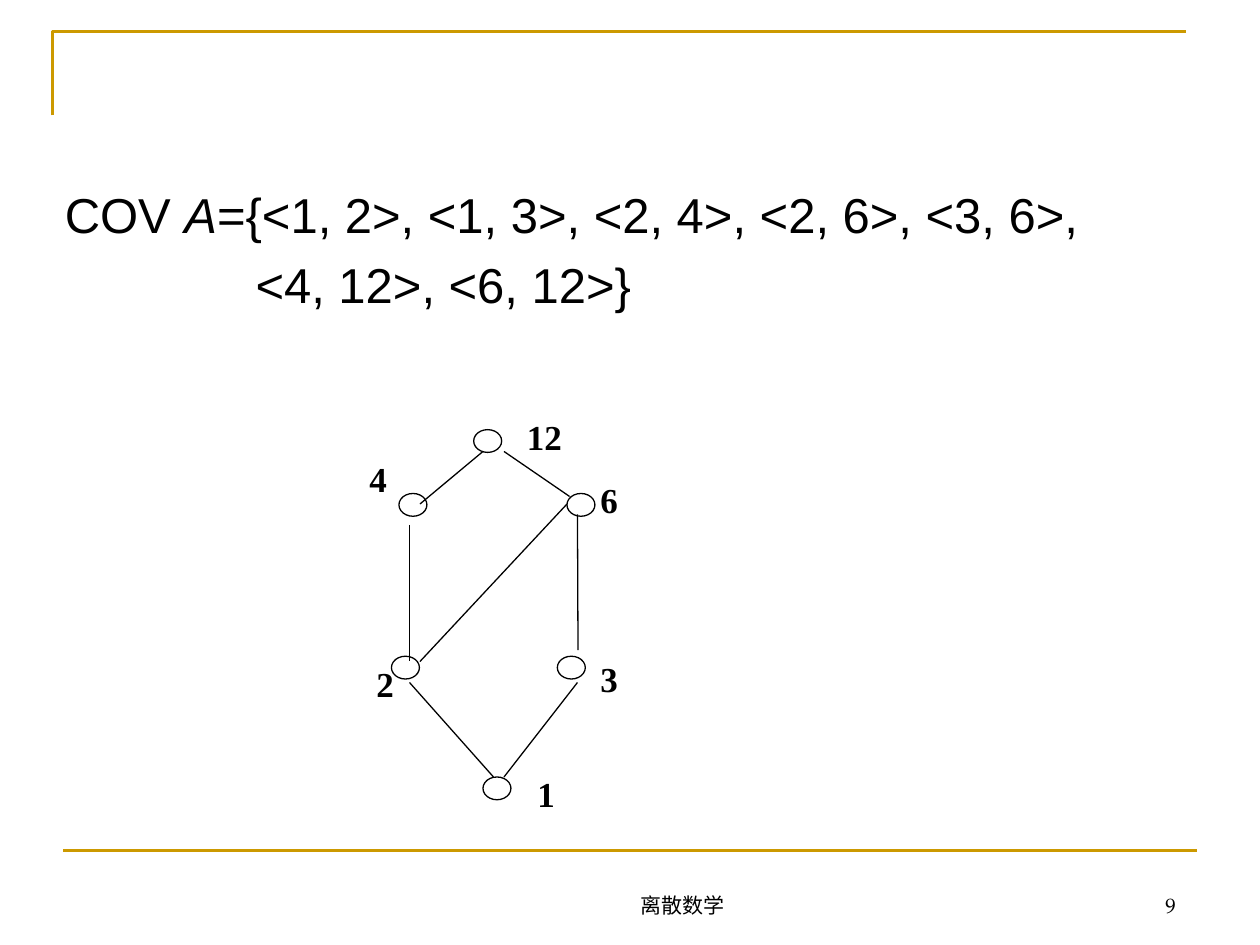
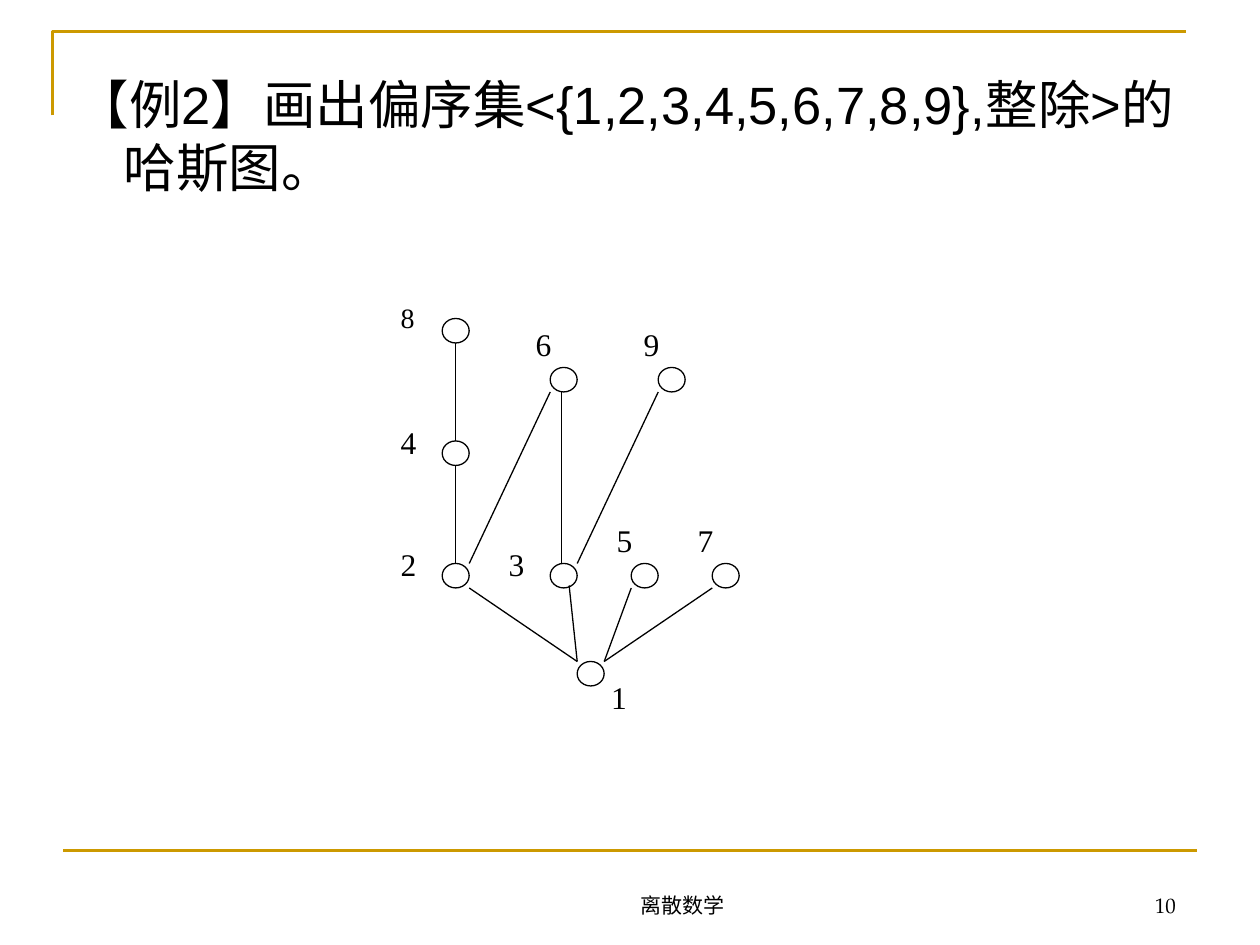
from pptx import Presentation
from pptx import util as u
from pptx.dml.color import RGBColor
from pptx.enum import shapes, text
from pptx.oxml.ns import qn
from lxml import etree

INK, GOLD, WHITE = "000000", "CC9900", "FFFFFF"
SANS, SERIF, FOOT = "Arial", "Times New Roman", "TeX Gyre Pagella"
LEFT, MID = text.PP_ALIGN.LEFT, text.PP_ALIGN.CENTER
RIGHT, JUST = text.PP_ALIGN.RIGHT, text.PP_ALIGN.JUSTIFY
TOP, LOW = text.MSO_ANCHOR.TOP, text.MSO_ANCHOR.BOTTOM


def tint(hue):
    return RGBColor.from_string(hue)


def edge(shape, hue, size):
    shape.line.color.rgb = tint(hue)
    shape.line.width = u.Pt(size)


def link(slide, start, end, hue=INK, size=0.75):
    ends = [u.Pt(n) for n in (*start, *end)]
    line = slide.shapes.add_connector(shapes.MSO_CONNECTOR.STRAIGHT, *ends)
    edge(line, hue, size)
    etree.SubElement(line._element.spPr, qn("a:effectLst"))


def node(slide, spot, size):
    dot = slide.shapes.add_shape(
        shapes.MSO_SHAPE.OVAL, *[u.Pt(n) for n in (*spot, *size)])
    dot.shadow.inherit = False
    dot.fill.solid()
    dot.fill.fore_color.rgb = tint(WHITE)
    edge(dot, INK, 0.75)


def box(slide, area, anchor=TOP):
    frame = slide.shapes.add_textbox(*[u.Pt(n) for n in area]).text_frame
    frame.word_wrap = True
    frame.vertical_anchor = anchor
    return frame


def write(par, runs, size, font, align=LEFT, bold=False):
    par.alignment = align
    for words, slant in runs:
        run = par.add_run()
        run.text = words
        run.font.size = u.Pt(size)
        run.font.name = font
        run.font.bold = bold
        run.font.italic = slant
        run.font.color.rgb = tint(INK)


def space(par, left, first, above):
    par.space_before = u.Pt(above)
    props = par._p.get_or_add_pPr()
    props.set("marL", str(u.Pt(left)))
    props.set("indent", str(u.Pt(first)))


def label(slide, words, spot, size, bold=False):
    frame = box(slide, (*spot, 48, 40))
    write(frame.paragraphs[0], [(words, False)], size, SERIF, JUST, bold)


def page(deck, count):
    slide = deck.slides.add_slide(deck.slide_layouts[6])
    pen = slide.shapes.build_freeform(u.Pt(30), u.Pt(66))
    pen.add_line_segments(
        [(u.Pt(30), u.Pt(18)), (u.Pt(678), u.Pt(18))], close=False)
    frame = pen.convert_to_shape()
    frame.shadow.inherit = False
    frame.fill.background()
    edge(frame, GOLD, 1.5)
    link(slide, (36, 486), (684, 486), GOLD, 1.5)
    for words, left, width, align in (
            ("离散数学", 276, 228, MID), (str(count), 600, 79, RIGHT)):
        foot = box(slide, (left, 492, width, 36), LOW)
        write(foot.paragraphs[0], [(words, False)], 12, FOOT, align)
    return slide


def cover(deck):
    slide = page(deck, 9)
    body = box(slide, (30, 102, 612, 354))
    head = body.paragraphs[0]
    write(head, [("COV ", False), ("A", True),
                 ("={<1, 2>, <1, 3>, <2, 4>, <2, 6>, <3, 6>,", False)],
          28, SANS, JUST)
    space(head, 27, -27, 6.5)
    rest = body.add_paragraph()
    write(rest, [("<4, 12>, <6, 12>}", False)], 28, SANS, JUST)
    space(rest, 109, 0, 6.5)

    nodes = {
        "12": ((270.7, 245.5), (294, 234)),
        "4": ((228, 282), (204, 258)),
        "6": ((324, 282), (336, 270)),
        "2": ((223.7, 375), (208, 375)),
        "3": ((318.5, 375), (336, 372)),
        "1": ((276, 444), (300, 438)),
    }
    links = [
        ((240, 288), (276, 258)), ((288, 258), (325.5, 283.7)),
        ((324, 288), (240, 378)), ((234, 300), (234, 377.5)),
        ((330, 294), (330.3, 371.5)), ((234, 390), (282, 444)),
        ((330, 390), (288, 444)),
    ]
    for name, (spot, tag) in nodes.items():
        node(slide, spot, (16, 13))
        label(slide, name, tag, 20, True)
    for start, end in links:
        link(slide, start, end)


def grid(col, row):
    return 252.7 + 15.43 * col, 182 + 14 * row


def divide(deck):
    slide = page(deck, 10)
    head = box(slide, (36.7, 37.5, 648, 401)).paragraphs[0]
    write(head, [("【例2】画出偏序集<{1,2,3,4,5,6,7,8,9},整除>的哈斯图。", False)],
          30, SANS)
    space(head, 27, -27, 6)

    nodes = {
        "1": ((5, 14), (5.8, 14.4)),
        "2": ((0, 10), (-2, 9)),
        "3": ((4, 10), (2, 9)),
        "5": ((7, 10), (6, 8)),
        "7": ((10, 10), (9, 8)),
        "4": ((0, 5), (-2, 4)),
        "8": ((0, 0), (-2, -1)),
        "6": ((4, 2), (3, 0)),
        "9": ((8, 2), (7, 0)),
    }
    links = [
        ((5, 14), (1, 11)), ((5, 14), (4.7, 10.9)),
        ((6, 14), (7, 11)), ((6, 14), (10, 11)),
        ((0.5, 10), (0.5, 6)), ((0.5, 5), (0.5, 1)),
        ((1, 10), (4, 3)), ((4.42, 10), (4.42, 3)), ((5, 10), (8, 3)),
    ]
    for name, (spot, tag) in nodes.items():
        node(slide, grid(*spot), (15.43, 14))
        label(slide, name, grid(*tag), 16 if name == "8" else 18)
    for start, end in links:
        link(slide, grid(*start), grid(*end))


def main():
    deck = Presentation()
    deck.slide_width, deck.slide_height = u.Pt(720), u.Pt(540)
    cover(deck)
    divide(deck)
    deck.save("out.pptx")


if __name__ == "__main__":
    main()
